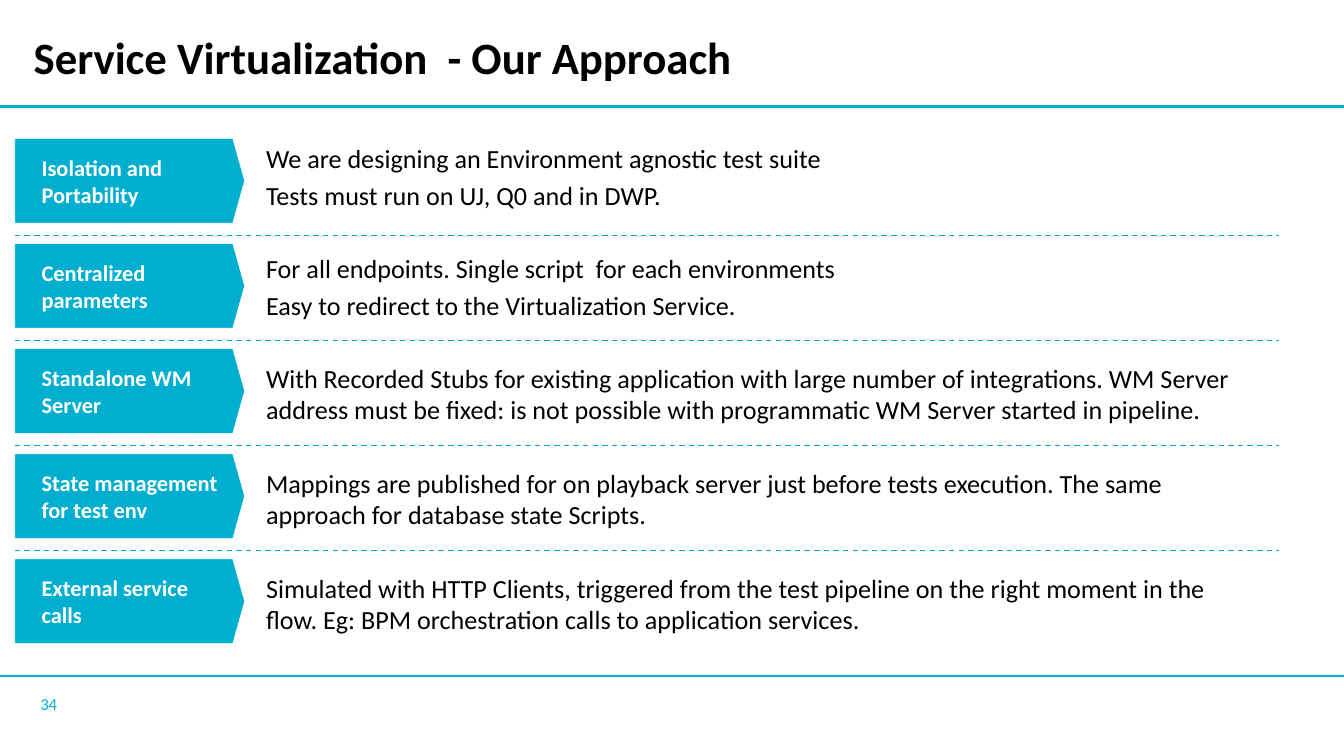
from lxml import etree
from pptx import Presentation
from pptx import util as u
from pptx.dml.color import RGBColor
from pptx.enum import dml, shapes, text
from pptx.oxml import ns

WIDTH = 10
HEIGHT = WIDTH * 9 / 16
CYAN = RGBColor(0x00, 0xAF, 0xD0)
DASH_CYAN = RGBColor(0x00, 0xAB, 0xCB)
BLACK = RGBColor(0, 0, 0)
WHITE = RGBColor(0xFF, 0xFF, 0xFF)
FONT = "Calibri"

LABEL_SIZE = (1.71, 0.63)
TEXT_LEFT = 1.87
DIVIDER_DROP = 0.72
PARAGRAPH_GAP, ROW_GAP = 2.8, 22.5

ROWS = [
    ("Isolation and Portability",
     ["We are designing an Environment agnostic test suite",
      "Tests must run on UJ, Q0 and in DWP."]),
    ("Centralized parameters",
     ["For all endpoints. Single script  for each environments",
      "Easy to redirect to the Virtualization Service."]),
    ("Standalone WM Server",
     ["With Recorded Stubs for existing application with large number of "
      "integrations. WM Server address must be fixed: is not possible with "
      "programmatic WM Server started in pipeline."]),
    ("State management for test env",
     ["Mappings are published for on playback server just before tests "
      "execution. The same approach for database state Scripts."]),
    ("External service calls",
     ["Simulated with HTTP Clients, triggered from the test pipeline on the "
      "right moment in the flow. Eg: BPM orchestration calls to application "
      "services."]),
]


def add_text(p, content, size, color, bold=False, before=0, line=None):
    p.alignment = text.PP_ALIGN.LEFT
    p.space_before = u.Pt(before)
    if line:
        p.line_spacing = u.Pt(line)
    r = p.add_run()
    r.text = content
    r.font.name = FONT
    r.font.size = u.Pt(size)
    r.font.bold = bold
    r.font.color.rgb = color


def set_frame(sp, anchor=text.MSO_ANCHOR.MIDDLE, left=0, right=0):
    tf = sp.text_frame
    tf.word_wrap = True
    tf.vertical_anchor = anchor
    tf.margin_left, tf.margin_right = u.Inches(left), u.Inches(right)
    tf.margin_top = tf.margin_bottom = 0
    return tf


def add_box(s, box, **frame):
    return set_frame(s.shapes.add_textbox(*map(u.Inches, box)), **frame)


def add_rule(s, x1, x2, y, color, width, dash=None):
    """Draw a horizontal line from x1 to x2."""
    c = s.shapes.add_connector(shapes.MSO_CONNECTOR.STRAIGHT,
                               *map(u.Inches, (x1, y, x2, y)))
    c.line.color.rgb = color
    c.line.width = u.Pt(width)
    if dash:
        c.line.dash_style = dash
    etree.SubElement(c._element.spPr, ns.qn("a:effectLst"))


def add_header(s, box):
    left, top, width, height = box
    add_rule(s, 0, WIDTH, top + height, CYAN, 1.5)
    p = add_box(s, (left, top, width, 0.7)).paragraphs[0]
    add_text(p, "Service Virtualization  - Our Approach",
             24, BLACK, bold=True, line=16.5)
    p.add_line_break()


def add_footer(s, box):
    left, top, width, height = box
    add_rule(s, 0, WIDTH, top, CYAN, 1.5)
    tf = add_box(s, (left, top + 0.01, width, height))
    add_text(tf.paragraphs[0], "34", 9, CYAN)


def add_label(s, label, left, top):
    sp = s.shapes.add_shape(shapes.MSO_SHAPE.PENTAGON,
                            *map(u.Inches, (left, top, *LABEL_SIZE)))
    sp.adjustments[0] = 0.14
    sp.shadow.inherit = False
    sp.fill.solid()
    sp.fill.fore_color.rgb = CYAN
    sp.line.color.rgb = WHITE
    sp.line.width = u.Pt(0.25)
    tf = set_frame(sp, left=0.2, right=0.08)
    add_text(tf.paragraphs[0], label, 12, WHITE, bold=True)


def add_approach(s, box):
    """Place arrow labels, their descriptions and dashed dividers."""
    left, top, width, height = box
    step = (height - LABEL_SIZE[1]) / (len(ROWS) - 1)
    tf = add_box(s, (left + TEXT_LEFT, top + 0.03, 7.23, 3.85),
                 anchor=text.MSO_ANCHOR.TOP)
    p = tf.paragraphs[0]
    for row, (label, lines) in enumerate(ROWS):
        y = top + row * step
        add_label(s, label, left, y)
        if row:
            add_rule(s, left, left + width, y - step + DIVIDER_DROP,
                     DASH_CYAN, 0.75, dml.MSO_LINE.DASH)
        for i, line in enumerate(lines):
            if row or i:
                p = tf.add_paragraph()
            gap = PARAGRAPH_GAP if i else ROW_GAP if row else 0
            add_text(p, line, 14, BLACK, before=gap)


def main():
    prs = Presentation()
    prs.slide_width, prs.slide_height = u.Inches(WIDTH), u.Inches(HEIGHT)
    s = prs.slides.add_slide(prs.slide_layouts[6])
    add_header(s, (0.25, 0.27, 9.49, 0.52))
    add_approach(s, (0.11, 1.03, 9.41, 3.76))
    add_footer(s, (0.3, 5.03, 0.3, 0.39))
    prs.save("out.pptx")


if __name__ == "__main__":
    main()
